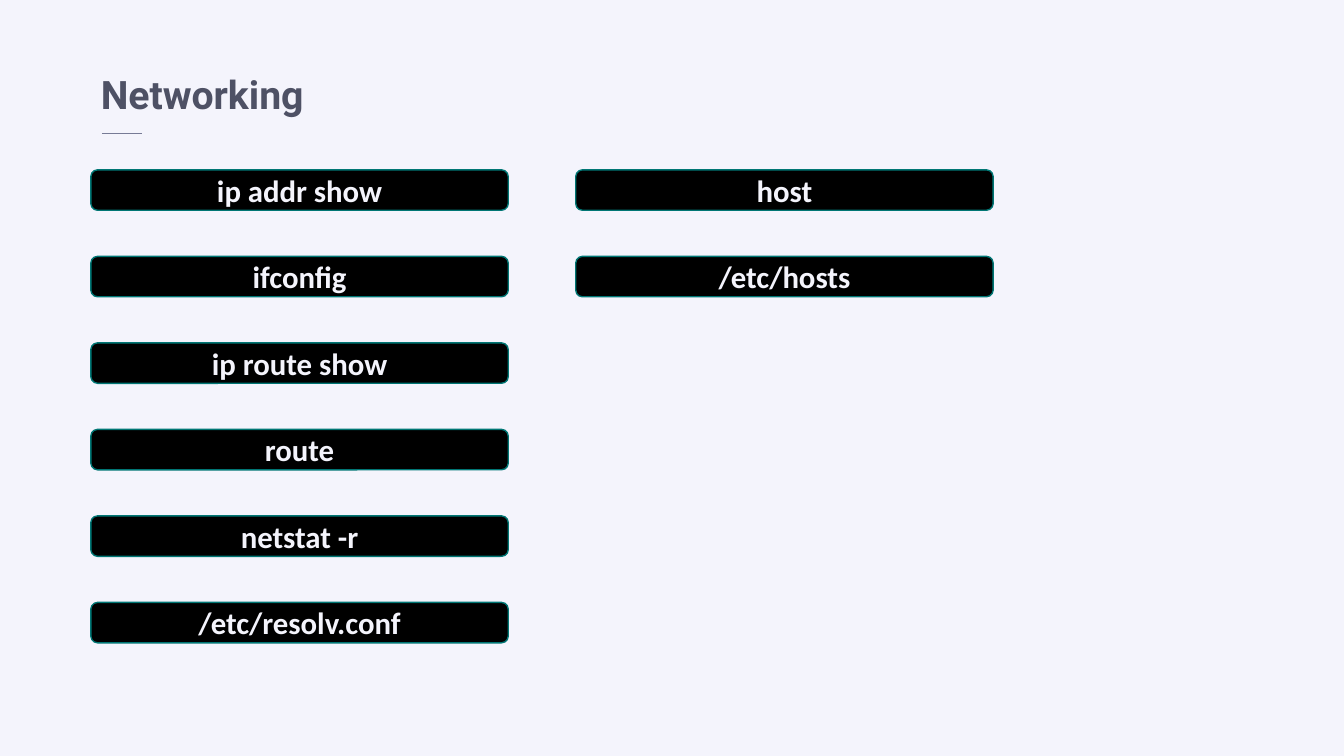
from dataclasses import dataclass

from lxml import etree
from pptx import Presentation
from pptx import util as u
from pptx.dml.color import RGBColor
from pptx.enum import shapes, text
from pptx.oxml import ns
from pptx.slide import Slide
from pptx.text.text import TextFrame

BACKGROUND = RGBColor(0xF4, 0xF4, 0xFC)
TITLE = RGBColor(0x4E, 0x51, 0x65)
RULE = RGBColor(0x77, 0x7B, 0x96)
BLACK = RGBColor(0x00, 0x00, 0x00)
TEAL = RGBColor(0x00, 0x76, 0x74)

LEFT, TOP = 2.29, 4.28
COLUMN_STEP, ROW_STEP = 12.22, 2.18
BOX_WIDTH, BOX_HEIGHT = 10.52, 1.02


@dataclass(frozen=True)
class Command:
    label: str
    column: int
    row: int


COLUMNS = (
    ("ip addr show", "ifconfig", "ip route show", "route", "netstat -r", "/etc/resolv.conf"),
    ("host", "/etc/hosts"),
)
COMMANDS = [
    Command(label, column, row)
    for column, labels in enumerate(COLUMNS)
    for row, label in enumerate(labels)
]


def add_run(tf: TextFrame, label: str, font: str, size: int, color: RGBColor) -> None:
    r = tf.paragraphs[0].add_run()
    r.text = label
    r.font.name = font
    r.font.size = u.Pt(size)
    r.font.bold = True
    r.font.color.rgb = color


def draw_title(s: Slide, label: str) -> None:
    sp = s.shapes.add_textbox(u.Cm(LEFT), u.Cm(1.65), u.Cm(5.94), u.Cm(1.45))
    tf = sp.text_frame
    tf.word_wrap = False
    tf.auto_size = text.MSO_AUTO_SIZE.SHAPE_TO_FIT_TEXT
    add_run(tf, label, "Roboto", 28, TITLE)


def draw_rule(s: Slide) -> None:
    rule = s.shapes.add_connector(
        shapes.MSO_CONNECTOR.STRAIGHT, u.Cm(2.57), u.Cm(3.35), u.Cm(3.58), u.Cm(3.35)
    )
    rule.line.color.rgb = RULE
    rule.line.width = u.Pt(0.25)
    etree.SubElement(rule._element.spPr, ns.qn("a:effectLst"))


def draw_command(s: Slide, command: Command) -> None:
    sp = s.shapes.add_shape(
        shapes.MSO_SHAPE.ROUNDED_RECTANGLE,
        u.Cm(LEFT + command.column * COLUMN_STEP),
        u.Cm(TOP + command.row * ROW_STEP),
        u.Cm(BOX_WIDTH),
        u.Cm(BOX_HEIGHT),
    )
    sp.shadow.inherit = False
    sp.fill.solid()
    sp.fill.fore_color.rgb = BLACK
    sp.line.color.rgb = TEAL
    sp.line.width = u.Pt(1)
    tf = sp.text_frame
    tf.word_wrap = True
    tf.vertical_anchor = text.MSO_ANCHOR.MIDDLE
    tf.paragraphs[0].alignment = text.PP_ALIGN.CENTER
    add_run(tf, command.label, "Calibri", 22, BACKGROUND)


def main() -> None:
    prs = Presentation()
    prs.slide_width, prs.slide_height = u.Cm(33.87), u.Cm(19.05)
    s = prs.slides.add_slide(prs.slide_layouts[6])
    s.background.fill.solid()
    s.background.fill.fore_color.rgb = BACKGROUND
    draw_title(s, "Networking")
    draw_rule(s)
    for command in COMMANDS:
        draw_command(s, command)
    prs.save("out.pptx")


if __name__ == "__main__":
    main()
